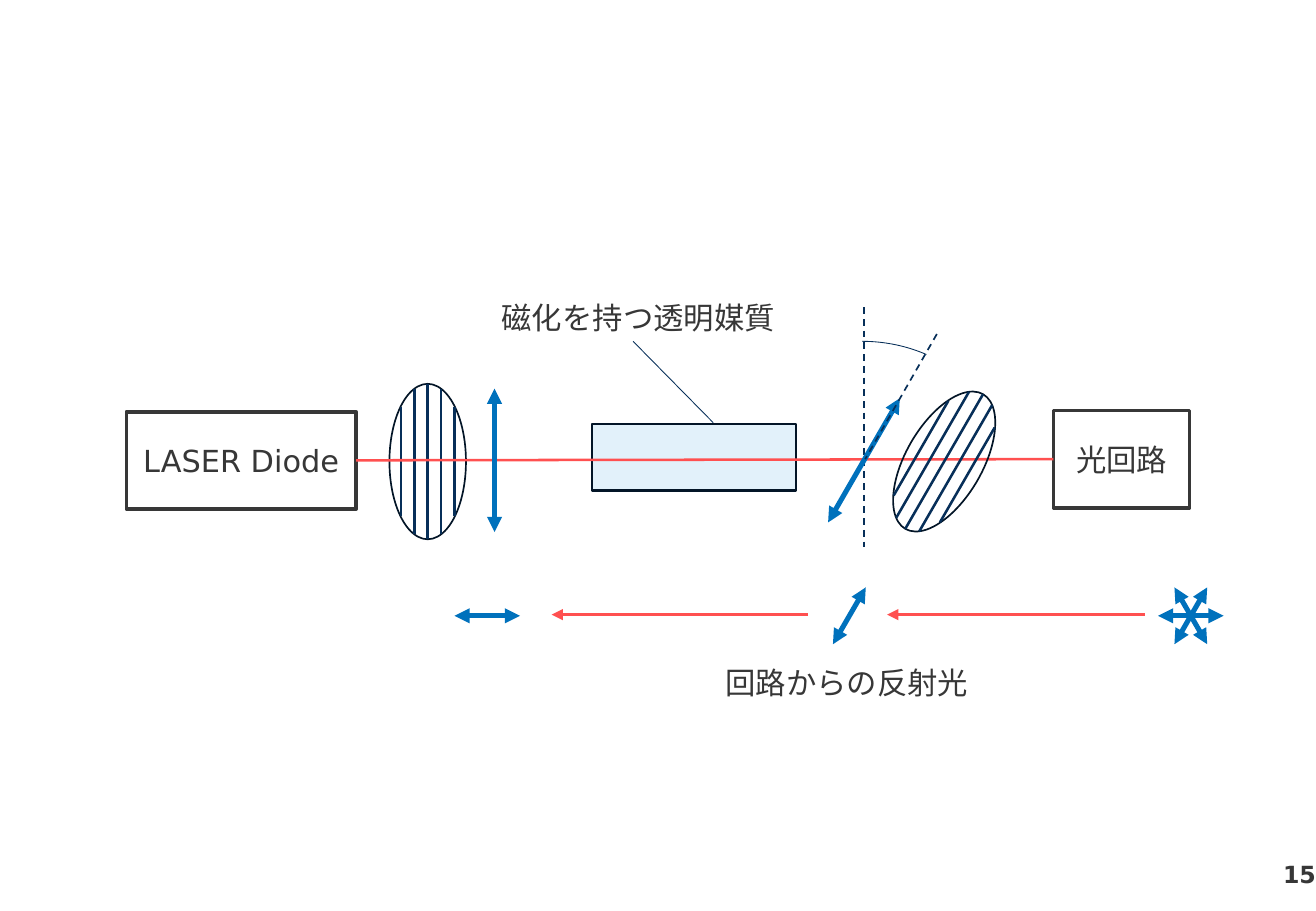
"""Build the slide showing an optical isolator between a laser diode and an optical circuit."""
import math

import lxml.etree
import pptx
import pptx.dml.color
import pptx.enum.dml
import pptx.enum.shapes
import pptx.enum.text
import pptx.oxml.ns
import pptx.util

Inches = pptx.util.Inches
SHAPES = pptx.enum.shapes.MSO_SHAPE
ALIGN = pptx.enum.text.PP_ALIGN
FONT = "DejaVu Sans"
INK, NAVY, OUTLINE = "373737", "072F59", "031527"
BLUE, RED, PALE = "0071BC", "FF5050", "E2F1FA"

PAGE_NUMBER = ("15", (10.27, 7.08, 0.56, 0.24))
DEVICES = [("LASER Diode", (1.04, 3.39, 1.89, 0.8)), ("光回路", (8.67, 3.38, 1.12, 0.8))]
LABELS = [("磁化を持つ透明媒質", (4.03, 2.41, 2.47, 0.4)), ("回路からの反射光", (5.87, 5.42, 2.22, 0.4))]
MEDIUM = (4.87, 3.49, 1.68, 0.55)
MEDIUM_LEADER = ((5.21, 2.81), (5.87, 3.48))
BEAM = ((2.93, 3.79), (8.67, 3.78))
VERTICAL_AXIS = ((7.11, 2.53), (7.11, 4.5))
TILTED_AXIS = ((7.71, 2.75), (7.12, 3.78))
ANGLE_ARC = (5.96, 2.81, 2.27, 1.88)
ARC_DEGREES = (270, 302.5)

TILT = 30
POLARIZER_SIZE = (0.63, 1.28)
POLARIZERS = [((3.52, 3.8), 0), ((7.77, 3.8), TILT)]
SLITS = [(-0.22, 0.45), (-0.11, 0.6), (0, 0.64), (0.11, 0.6), (0.22, 0.45)]
FORWARD_LIGHT = [((4.07, 3.79), 0), ((7.11, 3.79), TILT)]
RETURN_LIGHT = [((4.01, 5.07), 90), ((6.99, 5.07), TILT)]
RETURN_LIGHT += [((9.8, 5.07), angle) for angle in (TILT, -TILT, 90)]
RETURN_BEAMS = [((9.42, 5.06), (7.3, 5.06)), ((6.65, 5.06), (4.54, 5.06))]

deck = pptx.Presentation()
deck.slide_width, deck.slide_height = Inches(10.83), Inches(7.5)
page = deck.slides.add_slide(deck.slide_layouts[6])


def color(value):
    return pptx.dml.color.RGBColor.from_string(value)


def write(box, text, size=18, bold=False, align=None):
    para = box.text_frame.paragraphs[0]
    para.alignment = align
    span = para.add_run()
    span.text = text
    span.font.name, span.font.size, span.font.bold = FONT, pptx.util.Pt(size), bold
    span.font.color.rgb = color(INK)


def add_label(text, place, wrap=False, inset=None, **style):
    box = page.shapes.add_textbox(*map(Inches, place))
    frame = box.text_frame
    frame.word_wrap = wrap
    if inset is not None:
        frame.margin_left = frame.margin_right = Inches(inset)
        frame.margin_top = frame.margin_bottom = Inches(inset)
    write(box, text, **style)


def add_shape(kind, place, line, width, fill=None):
    shape = page.shapes.add_shape(kind, *map(Inches, place))
    shape.shadow.inherit = False
    shape.line.color.rgb, shape.line.width = color(line), pptx.util.Pt(width)
    if fill:
        shape.fill.solid()
        shape.fill.fore_color.rgb = color(fill)
    else:
        shape.fill.background()
    return shape


def add_line(ends, line, width, dash=False, arrows=()):
    (left, top), (right, bottom) = ends
    connector = page.shapes.add_connector(
        pptx.enum.shapes.MSO_CONNECTOR.STRAIGHT, *map(Inches, (left, top, right, bottom)))
    connector.line.color.rgb, connector.line.width = color(line), pptx.util.Pt(width)
    if dash:
        connector.line.dash_style = pptx.enum.dml.MSO_LINE.DASH
    outline = connector.line._get_or_add_ln()
    for end in arrows:
        lxml.etree.SubElement(outline, pptx.oxml.ns.qn(f"a:{end}"), type="triangle")
    lxml.etree.SubElement(connector._element.spPr, pptx.oxml.ns.qn("a:effectLst"))


def tilted_ends(center, half, angle, offset=0):
    sine, cosine = math.sin(math.radians(angle)), math.cos(math.radians(angle))
    return [(center[0] + offset * cosine - reach * sine,
             center[1] + offset * sine + reach * cosine) for reach in (-half, half)]


def add_polarizer(center, angle):
    width, height = POLARIZER_SIZE
    place = (center[0] - width / 2, center[1] - height / 2, width, height)
    add_shape(SHAPES.OVAL, place, OUTLINE, 1).rotation = angle
    for offset, half in SLITS:
        add_line(tilted_ends(center, half, angle, offset), NAVY, 1.5)


def add_polarization(center, angle, half):
    add_line(tilted_ends(center, half, angle), BLUE, 3, arrows=("headEnd", "tailEnd"))


add_label(*PAGE_NUMBER, wrap=True, inset=0, size=14, bold=True, align=ALIGN.RIGHT)
add_line(VERTICAL_AXIS, NAVY, 1, dash=True)
add_shape(SHAPES.RECTANGLE, MEDIUM, OUTLINE, 1.5, PALE)
for name, place in DEVICES:
    write(add_shape(SHAPES.RECTANGLE, place, INK, 2.25), name, align=ALIGN.CENTER)

add_polarizer(*POLARIZERS[0])
add_line(BEAM, RED, 1.5)
add_polarizer(*POLARIZERS[1])
for center, angle in FORWARD_LIGHT:
    add_polarization(center, angle, 0.59)

for text, place in LABELS:
    add_label(text, place)
add_line(MEDIUM_LEADER, NAVY, 0.5)
arc = add_shape(SHAPES.ARC, ANGLE_ARC, NAVY, 0.5)
for index, degrees in enumerate(ARC_DEGREES):
    arc.adjustments[index] = degrees * 0.6
add_line(TILTED_AXIS, NAVY, 1, dash=True)

for ends in RETURN_BEAMS:
    add_line(ends, RED, 2.25, arrows=("tailEnd",))
for center, angle in RETURN_LIGHT:
    add_polarization(center, angle, 0.27)

deck.save("out.pptx")
